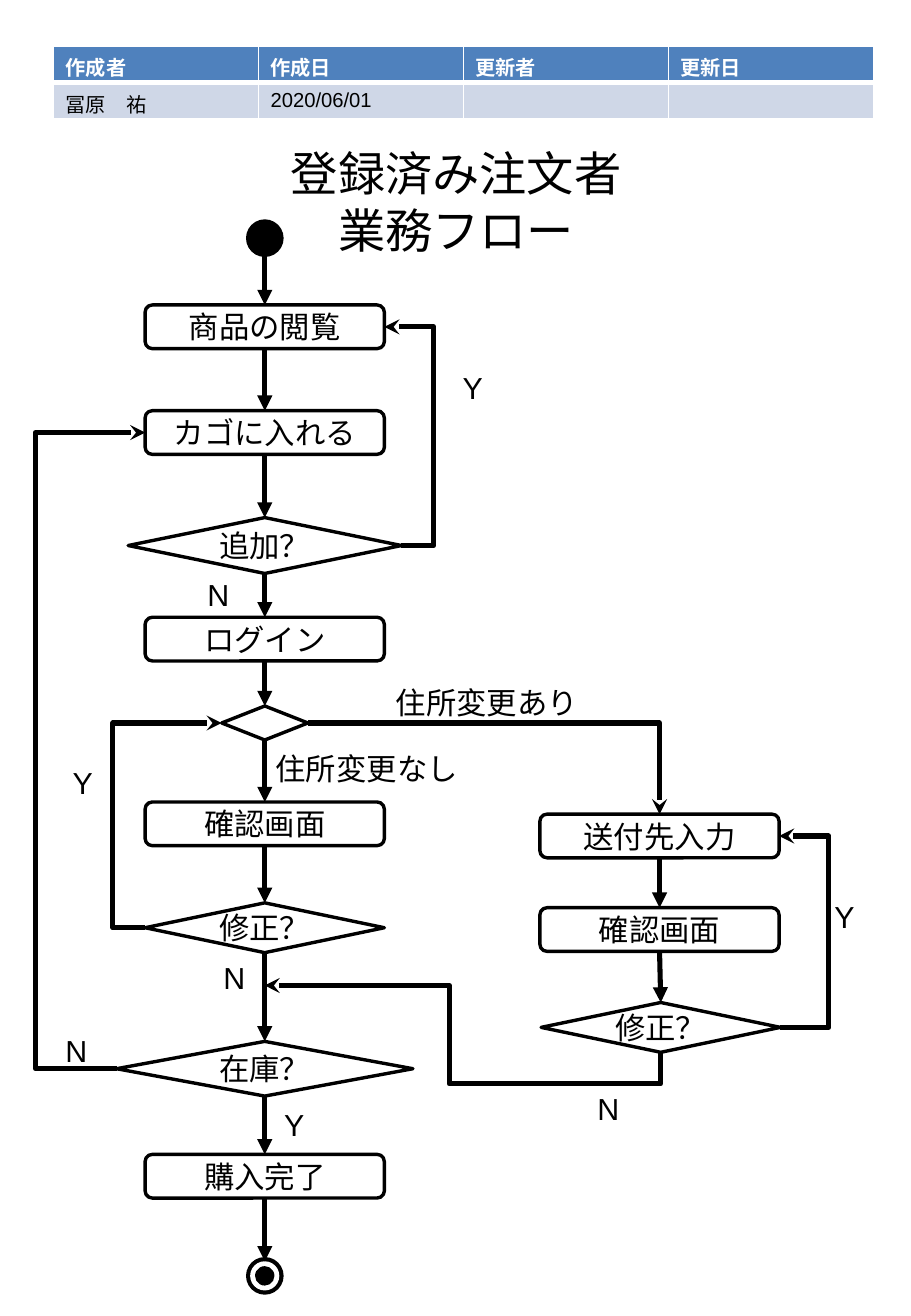
from lxml import etree
from pptx import Presentation
from pptx.dml.color import RGBColor
from pptx.enum.shapes import MSO_CONNECTOR, MSO_SHAPE
from pptx.enum.text import MSO_ANCHOR, PP_ALIGN
from pptx.oxml.ns import qn
from pptx.util import Inches, Pt

STRAIGHT, ELBOW = MSO_CONNECTOR.STRAIGHT, MSO_CONNECTOR.ELBOW
ROUNDED, DECISION, OVAL = MSO_SHAPE.ROUNDED_RECTANGLE, MSO_SHAPE.FLOWCHART_DECISION, MSO_SHAPE.OVAL
CENTER, MIDDLE, TOP_ANCHOR = PP_ALIGN.CENTER, MSO_ANCHOR.MIDDLE, MSO_ANCHOR.TOP
TOP, LEFT, BOTTOM, RIGHT = range(4)  # connection sites
BLACK, WHITE, BLUE, PALE = "000000", "FFFFFF", "4F81BD", "CFD7E7"
QUARTER_TURN = 5400000


def rgb(value):
    return RGBColor.from_string(value)


class FlowSlide:
    body_font, label_font = "Calibri", "Arial"
    text_size, outline, flow_width = 18, 2, 3

    def __init__(self, slide):
        self.shapes = slide.shapes

    def style(self, frame, font, size, color=BLACK, bold=False, align=None):
        for paragraph in frame.paragraphs:
            paragraph.alignment = align
            for run in paragraph.runs:
                run.font.name, run.font.size, run.font.bold = font, Pt(size), bold
                run.font.color.rgb = rgb(color)

    def node(self, kind, center, top, width, height, text=""):
        shape = self.shapes.add_shape(kind, Inches(center - width / 2), Inches(top),
                                      Inches(width), Inches(height))
        shape.shadow.inherit = False
        shape.fill.solid()
        shape.fill.fore_color.rgb = rgb(WHITE)
        shape.line.color.rgb = rgb(BLACK)
        shape.line.width = Pt(self.outline)
        if text:
            frame = shape.text_frame
            frame.text = text
            frame.vertical_anchor = MIDDLE
            self.style(frame, self.body_font, self.text_size, align=CENTER)
        return shape

    def step(self, text, center, top):
        return self.node(ROUNDED, center, top, 1.97, 0.36, text)

    def decision(self, text, center, top, width=1.97, height=0.41):
        return self.node(DECISION, center, top, width, height, text)

    def dot(self, shapes, center, middle, size, color=BLACK):
        disc = shapes.add_shape(OVAL, Inches(center - size / 2), Inches(middle - size / 2),
                                Inches(size), Inches(size))
        disc.shadow.inherit = False
        disc.fill.solid()
        disc.fill.fore_color.rgb = rgb(color)
        disc.line.fill.background()

    def text(self, text, left, top, width, height, font, size, inset, anchor, align=None):
        frame = self.shapes.add_textbox(Inches(left), Inches(top),
                                        Inches(width), Inches(height)).text_frame
        frame.word_wrap = True
        frame.margin_top = frame.margin_bottom = Inches(inset)
        frame.vertical_anchor = anchor
        frame.text = text
        self.style(frame, font, size, align=align)

    def label(self, text, left, top):
        width = 0.49 if len(text) == 1 else 1.79
        self.text(text, left, top, width, 0.28, self.label_font, self.text_size, 0.1, TOP_ANCHOR)

    def arrow(self, start, end, kind=STRAIGHT, head="triangle"):
        """Each end is a (shape, site) pair or an (x, y) point."""
        points = [end_ if isinstance(end_[0], (int, float)) else (0, 0) for end_ in (start, end)]
        flow = self.shapes.add_connector(kind, *(Inches(v) for point in points for v in point))
        if points[0] != start:
            flow.begin_connect(*start)
        if points[1] != end:
            flow.end_connect(*end)
        flow.line.color.rgb = rgb(BLACK)
        flow.line.width = Pt(self.flow_width)
        etree.SubElement(flow.line._get_or_add_ln(), qn("a:tailEnd"), type=head)
        etree.SubElement(flow._element.spPr, qn("a:effectLst"))
        return flow

    def bend(self, flow, preset, turns=0, mirrored=False, adjust=()):
        geometry = flow._element.spPr.find(qn("a:prstGeom"))
        geometry.set("prst", preset)
        guides = geometry.find(qn("a:avLst"))
        if guides is None:
            guides = etree.SubElement(geometry, qn("a:avLst"))
        for number, share in enumerate(adjust, 1):
            etree.SubElement(guides, qn("a:gd"), name=f"adj{number}",
                             fmla=f"val {round(share * 100000)}")
        frame = flow._element.spPr.find(qn("a:xfrm"))
        frame.attrib.clear()
        if turns:
            frame.set("rot", str(turns * QUARTER_TURN))
        if mirrored:
            frame.set("flipH", "1")

    def loop_back(self, start, end, lane):
        """Runs sideways to the lane, up, and back to an earlier step."""
        flow = self.arrow(start, end, ELBOW, "stealth")
        x1, x2 = flow.begin_x, flow.end_x
        self.bend(flow, "bentConnector3", 2, x2 > x1, [(Inches(lane) - x1) / (x2 - x1)])

    def branch(self, start, end):
        self.bend(self.arrow(start, end, ELBOW, "stealth"), "bentConnector2")

    def merge(self, start, end, floor, lane):
        """Runs down to the floor, left to the lane, up, and left to the end."""
        flow = self.arrow(start, end, ELBOW, "stealth")
        x1, y1, x2, y2 = flow.begin_x, flow.begin_y, flow.end_x, flow.end_y
        width, height = abs(y2 - y1), abs(x2 - x1)
        self.bend(flow, "bentConnector4", 1, True,
                  [(Inches(floor) - y1) / (y2 - y1), (Inches(lane) - x1) / (x2 - x1)])
        flow.left, flow.top = (x1 + x2 - width) // 2, (y1 + y2 - height) // 2
        flow.width, flow.height = width, height

    def table(self, rows, left, top, width, heights):
        grid = self.shapes.add_table(len(rows), len(rows[0]), Inches(left), Inches(top),
                                     Inches(width), Inches(sum(heights))).table
        for r, row in enumerate(rows):
            grid.rows[r].height = Inches(heights[r])
            for c, text in enumerate(row):
                self.cell(grid.cell(r, c), text, header=r == 0)

    def cell(self, cell, text, header):
        sides = {"lnL": 1, "lnR": 1, "lnT": 1 if header else 3, "lnB": 3 if header else 1}
        for side, width in sides.items():
            border = etree.SubElement(cell._tc.get_or_add_tcPr(), qn(f"a:{side}"), w=str(Pt(width)))
            fill = etree.SubElement(border, qn("a:solidFill"))
            etree.SubElement(fill, qn("a:srgbClr"), val=WHITE)
        cell.fill.solid()
        cell.fill.fore_color.rgb = rgb(BLUE if header else PALE)
        if text:
            cell.text_frame.text = text
            self.style(cell.text_frame, self.label_font, 12, WHITE if header else BLACK, header)
        else:
            etree.SubElement(cell.text_frame.paragraphs[0]._p, qn("a:endParaRPr"), sz="1200")


deck = Presentation()
deck.slide_width, deck.slide_height = Inches(7.5), Inches(10.83)
page = FlowSlide(deck.slides.add_slide(deck.slide_layouts[6]))
MAIN, SIDE = 2.18, 5.43  # column centres

# Title and revision table
page.text("登録済み注文者\v業務フロー", 0.38, 0.75, 6.75, 1.81, page.body_font, 28, 0.05, MIDDLE, CENTER)
page.table([["作成者", "作成日", "更新者", "更新日"], ["冨原　祐", "2020/06/01", "", ""]],
           0.44, 0.38, 6.75, [0.26, 0.3])

# Start and end marks
page.dot(page.shapes, MAIN, 1.96, 0.31)
end_mark = page.shapes.add_group_shape().shapes
for size, color in [(0.31, BLACK), (0.24, WHITE), (0.16, BLACK)]:
    page.dot(end_mark, MAIN, 10.5, size, color)

# Main column
browse = page.step("商品の閲覧", MAIN, 2.51)
basket = page.step("カゴに入れる", MAIN, 3.38)
add_more = page.decision("追加？", MAIN, 4.26, 2.25, 0.46)
login = page.step("ログイン", MAIN, 5.08)
address = page.decision("", MAIN, 5.81, 0.71, 0.28)
confirm = page.step("確認画面", MAIN, 6.6)
revise = page.decision("修正？", MAIN, 7.43)
stock = page.decision("在庫？", MAIN, 8.57, 2.44, 0.45)
done = page.step("購入完了", MAIN, 9.5)

# Address change column; the loop back needs ends that differ slightly in x
ship_to = page.step("送付先入力", SIDE, 6.7)
ship_confirm = page.step("確認画面", SIDE, 7.47)
ship_revise = page.decision("修正？", SIDE + 0.01, 8.25)

# Downward flow
page.arrow((MAIN, 2.06), (browse, TOP))
for column in ([browse, basket, add_more, login, address, confirm, revise, stock, done],
               [ship_to, ship_confirm, ship_revise]):
    for upper, lower in zip(column, column[1:]):
        page.arrow((upper, BOTTOM), (lower, TOP))
page.arrow((done, BOTTOM), (MAIN, 10.38))

# Loops, branch and merge
page.loop_back((add_more, RIGHT), (browse, RIGHT), 3.57)
page.loop_back((revise, LEFT), (address, LEFT), 0.93)
page.loop_back((stock, LEFT), (basket, LEFT), 0.29)
page.loop_back((ship_revise, RIGHT), (ship_to, RIGHT), 6.83)
page.branch((address, RIGHT), (ship_to, TOP))
page.merge((ship_revise, BOTTOM), (MAIN, 8.11), 8.92, 3.7)

# Answers beside the flow
for answer, left, top in [("Y", 3.71, 2.94), ("N", 1.61, 4.64), ("住所変更あり", 3.16, 5.53),
                          ("住所変更なし", 2.17, 6.07), ("Y", 0.5, 6.19), ("Y", 6.77, 7.29),
                          ("N", 1.74, 7.79), ("N", 0.44, 8.39), ("N", 4.82, 8.87), ("Y", 2.24, 9)]:
    page.label(answer, left, top)

deck.save("out.pptx")
